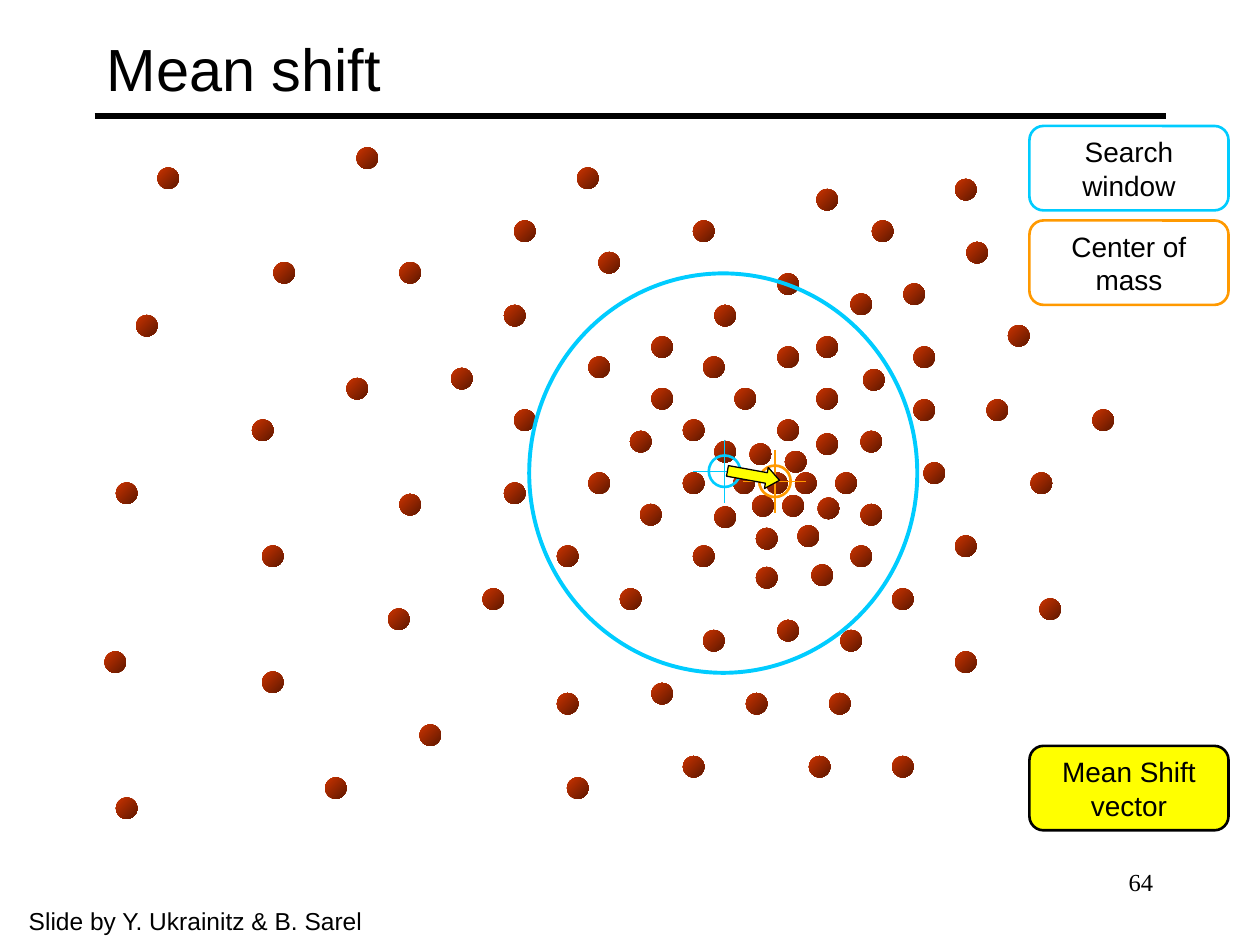
import pptx
import pptx.util
import pptx.dml.color
import pptx.enum.shapes
import pptx.enum.text
import pptx.oxml
import pptx.oxml.ns

Inches = pptx.util.Inches
Pt = pptx.util.Pt
SHAPE = pptx.enum.shapes.MSO_SHAPE
ALIGN = pptx.enum.text.PP_ALIGN
ANCHOR = pptx.enum.text.MSO_ANCHOR

COLORS = {
    "black": "000000", "window": "00CCFF", "mass": "FF9900",
    "vector": "FFFF00", "dot_light": "CC3300", "dot_dark": "5E1800",
}
DOT_SIZE = 0.17
DOTS = [
    (6.08, 3.75), (6.31, 3.75), (6.23, 3.58), (5.95, 3.52), (6.21, 3.93), (5.97, 3.93),
    (6.49, 3.95), (5.82, 3.75), (6.63, 3.75), (6.48, 3.44), (6.17, 3.33), (6.33, 4.17),
    (6, 4.19), (5.67, 4.02), (5.42, 3.75), (5.67, 3.5), (6.83, 4), (6.75, 4.33),
    (6.44, 4.48), (6, 4.5), (5.5, 4.33), (5.08, 4), (5, 3.42), (5.42, 3.33),
    (5.83, 3.08), (6.48, 3.08), (6.17, 2.75), (5.17, 3.08), (5.58, 2.83), (6.17, 2.17),
    (5.67, 2.42), (6.48, 2.67), (6.48, 1.5), (6.75, 2.33), (6.85, 2.93), (6.83, 3.42),
    (7.25, 3.17), (7.25, 2.75), (7.17, 2.25), (6.92, 1.75), (7.58, 1.42), (7.67, 1.92),
    (8, 2.58), (7.33, 3.67), (7.83, 3.17), (8.67, 3.25), (7.58, 4.25), (8.18, 3.75),
    (7.08, 4.67), (8.25, 4.75), (7.58, 5.17), (6.67, 5), (6.17, 4.92), (6.58, 5.5),
    (7.08, 6), (6.42, 6), (5.92, 5.5), (5.58, 5), (4.92, 4.67), (5.17, 5.42),
    (5.42, 6), (4.5, 6.17), (4.42, 5.5), (3.83, 4.67), (4.42, 4.33), (4.67, 3.75),
    (4.08, 3.25), (4.67, 2.83), (5.17, 2.67), (4.75, 2), (5.5, 1.75), (4.58, 1.33),
    (4.08, 1.75), (4, 2.42), (3.58, 2.92), (4, 3.83), (3.17, 3.92), (3.08, 4.83),
    (3.33, 5.75), (2.58, 6.17), (2.08, 5.33), (2.08, 4.33), (2.75, 3), (3.17, 2.08),
    (2.17, 2.08), (2, 3.33), (0.83, 5.17), (0.92, 6.33), (0.92, 3.83), (1.08, 2.5),
    (1.25, 1.33), (2.83, 1.17),
]


def rgb(name):
    return pptx.dml.color.RGBColor.from_string(COLORS[name])


def write(box, text, size=16, font="Arial", align=ALIGN.LEFT, anchor=ANCHOR.TOP, wrap=True):
    frame = box.text_frame
    frame.text = text
    frame.word_wrap = wrap
    frame.vertical_anchor = anchor
    for para in frame.paragraphs:
        para.alignment = align
        for span in para.runs:
            span.font.size = Pt(size)
            span.font.name = font
            span.font.color.rgb = rgb("black")


class Painter:
    """Draws styled elements on the current slide."""

    def __init__(self, page):
        self.page = page

    def shape(self, kind, left, top, width, height, fill=None, line=None, weight=1.5, group=None):
        shapes = (group or self.page).shapes
        shape = shapes.add_shape(kind, Inches(left), Inches(top), Inches(width), Inches(height))
        shape.shadow.inherit = False
        if fill:
            shape.fill.solid()
            shape.fill.fore_color.rgb = rgb(fill)
        else:
            shape.fill.background()
        if line:
            shape.line.color.rgb = rgb(line)
            shape.line.width = Pt(weight)
        else:
            shape.line.fill.background()
        return shape

    def line(self, x1, y1, x2, y2, color, weight=0.75, group=None):
        line = (group or self.page).shapes.add_connector(
            pptx.enum.shapes.MSO_CONNECTOR.STRAIGHT,
            Inches(x1), Inches(y1), Inches(x2), Inches(y2))
        line.line.color.rgb = rgb(color)
        line.line.width = Pt(weight)
        line._element.spPr.append(pptx.oxml.parse_xml(
            "<a:effectLst %s/>" % pptx.oxml.ns.nsdecls("a")))

    def dot(self, left, top):
        dot = self.shape(SHAPE.OVAL, left, top, DOT_SIZE, DOT_SIZE)
        dot.fill.gradient()
        dot.fill.gradient_angle = 315
        for stop, color, position in zip(dot.fill.gradient_stops, ("dot_light", "dot_dark"), (0, 1)):
            stop.color.rgb = rgb(color)
            stop.position = position

    def crosshair(self, x, y, color, group, radius=0.125, arm=0.25):
        self.shape(SHAPE.OVAL, x - radius, y - radius, 2 * radius, 2 * radius, line=color, group=group)
        self.line(x, y - arm, x, y + arm, color, group=group)
        self.line(x - arm, y, x + arm, y, color, group=group)

    def label(self, text, top, line, fill=None):
        box = self.shape(SHAPE.ROUNDED_RECTANGLE, 8.17, top, 1.58, 0.67, fill, line)
        write(box, text, align=ALIGN.CENTER, anchor=ANCHOR.MIDDLE, wrap=False)

    def text(self, text, left, top, width, height, **style):
        box = self.page.shapes.add_textbox(Inches(left), Inches(top), Inches(width), Inches(height))
        write(box, text, **style)


def main():
    deck = pptx.Presentation()
    deck.slide_width, deck.slide_height = Inches(10), Inches(7.5)
    page = deck.slides.add_slide(deck.slide_layouts[6])
    painter = Painter(page)

    painter.line(0.75, 0.92, 9.25, 0.92, "black", 3)
    for left, top in DOTS:
        painter.dot(left, top)

    window = page.shapes.add_group_shape()
    painter.shape(SHAPE.OVAL, 4.2, 2.17, 3.08, 3.17, line="window", weight=2.25, group=window)
    painter.crosshair(5.75, 3.74, "window", window)

    painter.label("Search\vwindow", 1, "window")
    painter.label("Center of\nmass", 1.75, "mass")
    painter.label("Mean Shift\nvector", 5.92, "black", "vector")

    painter.crosshair(6.15, 3.82, "mass", page.shapes.add_group_shape())

    arrow = painter.shape(SHAPE.RIGHT_ARROW, 5.77, 3.69, 0.42, 0.17, "vector", "black", 0.75)
    arrow.adjustments[1] = 0.625
    arrow.rotation = 10.3

    painter.text("Mean shift", 0.75, 0.08, 8.5, 0.92, size=34, anchor=ANCHOR.MIDDLE)
    painter.text("Slide by Y. Ukrainitz & B. Sarel", 0.13, 7.14, 2.87, 0.33, size=14, wrap=False)
    painter.text("64", 7.17, 6.83, 2.08, 0.5, size=14, font="Times New Roman", align=ALIGN.RIGHT)
    deck.save("out.pptx")


if __name__ == "__main__":
    main()
